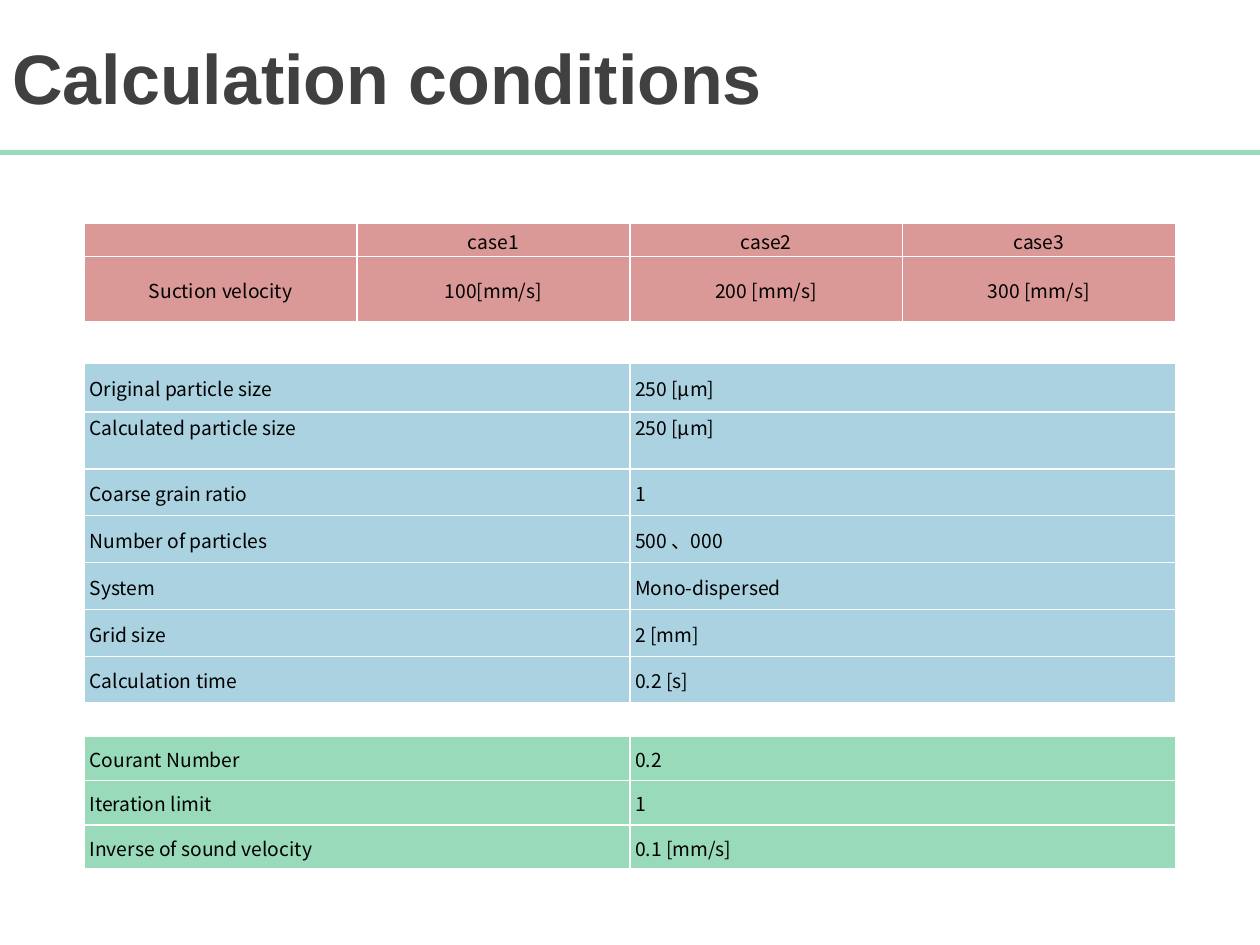
from lxml import etree
from pptx import Presentation
from pptx import util as u
from pptx.dml.color import RGBColor
from pptx.enum import shapes, text
from pptx.oxml import ns

THEME = {
    "title": {"name": "Arial", "size": u.Pt(40), "bold": True, "color": "404040"},
    "body": {"name": "Noto Sans CJK KR", "size": u.Pt(11), "bold": False, "color": "000000"},
    "red": "DA9997", "blue": "ABD2E1", "green": "99DABA", "border": "FFFFFF",
}
TITLE = "Calculation conditions"
LEFT, WIDTH = 48.2, 623.5
CENTER, START = text.PP_ALIGN.CENTER, text.PP_ALIGN.LEFT
TABLES = [
    {"top": 127.6, "fill": "red", "align": CENTER, "heights": [19.1, 37.1], "rows": [
        ("", "case1", "case2", "case3"),
        ("Suction velocity", "100[mm/s]", "200 [mm/s]", "300 [mm/s]"),
    ]},
    {"top": 207.6, "fill": "blue", "align": START, "heights": [27.7, 32.6] + [26.8] * 5,
     "top_anchored_row": 1, "rows": [
        ("Original particle size", "250 [μm]"),
        ("Calculated particle size", "250 [μm]"),
        ("Coarse grain ratio", "1"),
        ("Number of particles", "500 、000"),
        ("System", "Mono-dispersed"),
        ("Grid size", "2 [mm]"),
        ("Calculation time", "0.2 [s]"),
    ]},
    {"top": 420.8, "fill": "green", "align": START, "heights": [25.3] * 3, "rows": [
        ("Courant Number", "0.2"),
        ("Iteration limit", "1"),
        ("Inverse of sound velocity", "0.1 [mm/s]"),
    ]},
]


def set_attributes(target, values):
    for name, value in values.items():
        setattr(target, name, value)


def write(paragraph, words, style):
    run = paragraph.add_run()
    run.text = words
    set_attributes(run.font, {key: style[key] for key in ("name", "size", "bold")})
    run.font.color.rgb = RGBColor.from_string(style["color"])
    properties = run.font._element
    etree.SubElement(properties, ns.qn("a:ea"), typeface=style["name"])


def add_borders(cell):
    properties = cell._tc.get_or_add_tcPr()
    for side in ("lnL", "lnR", "lnT", "lnB"):
        line = etree.SubElement(properties, ns.qn(f"a:{side}"), w=str(u.Pt(1)))
        fill = etree.SubElement(line, ns.qn("a:solidFill"))
        etree.SubElement(fill, ns.qn("a:srgbClr"), val=THEME["border"])


def fill_cell(cell, words, data, anchor):
    add_borders(cell)
    cell.fill.solid()
    cell.fill.fore_color.rgb = RGBColor.from_string(THEME[data["fill"]])
    set_attributes(cell, {
        "margin_left": u.Pt(3 if data["align"] == START else 0.7),
        "margin_right": u.Pt(0.7), "margin_top": u.Pt(0.7), "margin_bottom": 0,
        "vertical_anchor": anchor,
    })
    paragraph = cell.text_frame.paragraphs[0]
    paragraph.alignment = data["align"]
    if words:
        write(paragraph, words, THEME["body"])
    else:  # keeps an empty cell as low as its row
        size = str(int(THEME["body"]["size"].pt * 100))
        etree.SubElement(paragraph._p, ns.qn("a:endParaRPr"), sz=size)


def add_condition_table(slide, data):
    rows, heights = data["rows"], data["heights"]
    columns = len(rows[0])
    table = slide.shapes.add_table(
        len(rows), columns, u.Pt(LEFT), u.Pt(data["top"]), u.Pt(WIDTH), u.Pt(sum(heights))).table
    set_attributes(table, {"first_row": False, "horz_banding": False})
    for column in table.columns:
        column.width = u.Pt(WIDTH / columns)
    for index, (row, height) in enumerate(zip(rows, heights)):
        table.rows[index].height = u.Pt(height)
        at_top = index == data.get("top_anchored_row")
        anchor = text.MSO_ANCHOR.TOP if at_top else text.MSO_ANCHOR.MIDDLE
        for column, words in enumerate(row):
            fill_cell(table.cell(index, column), words, data, anchor)


def main():
    presentation = Presentation()
    set_attributes(presentation, {"slide_width": u.Pt(720), "slide_height": u.Pt(540)})
    slide = presentation.slides.add_slide(presentation.slide_layouts[6])

    title = slide.shapes.add_textbox(0, u.Pt(1.4), u.Pt(720), u.Pt(84.2)).text_frame
    set_attributes(title, {"word_wrap": True, "vertical_anchor": text.MSO_ANCHOR.MIDDLE})
    write(title.paragraphs[0], TITLE, THEME["title"])

    rule = slide.shapes.add_shape(
        shapes.MSO_SHAPE.RECTANGLE, 0, u.Pt(85.6), u.Pt(720), u.Pt(2.9))
    rule.shadow.inherit = False
    rule.fill.solid()
    rule.fill.fore_color.rgb = RGBColor.from_string(THEME["green"])
    rule.line.fill.background()

    for data in TABLES:
        add_condition_table(slide, data)
    presentation.save("out.pptx")


if __name__ == "__main__":
    main()
